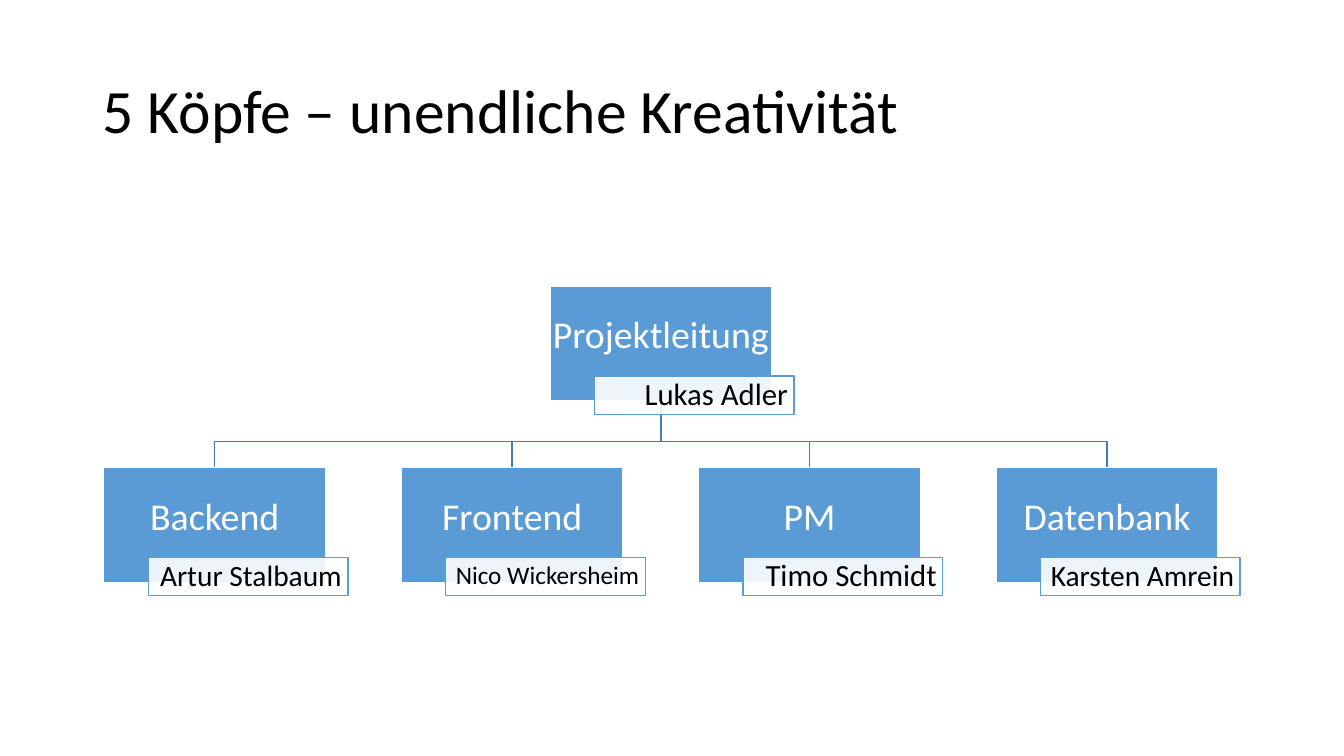
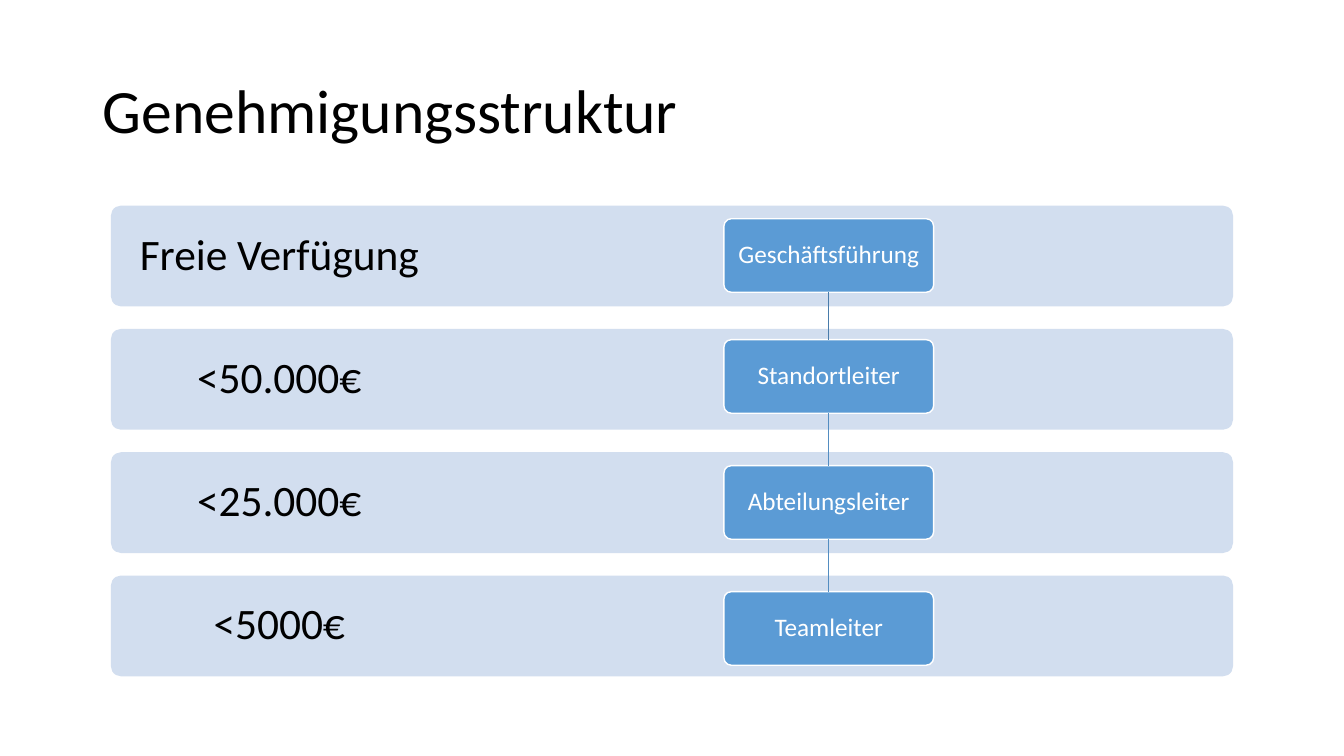
"""Build two slides: a team chart and an approval ladder."""
from dataclasses import dataclass

from lxml import etree
from pptx import Presentation
from pptx.dml.color import RGBColor
from pptx.enum.shapes import MSO_CONNECTOR, MSO_SHAPE
from pptx.enum.text import MSO_ANCHOR, MSO_AUTO_SIZE, PP_ALIGN
from pptx.oxml.ns import qn
from pptx.util import Inches, Pt

RECTANGLE = MSO_SHAPE.RECTANGLE
ROUNDED = MSO_SHAPE.ROUNDED_RECTANGLE
STRAIGHT = MSO_CONNECTOR.STRAIGHT
MIDDLE = MSO_ANCHOR.MIDDLE
NO_AUTOFIT = MSO_AUTO_SIZE.NONE
LEFT, CENTER, RIGHT = PP_ALIGN.LEFT, PP_ALIGN.CENTER, PP_ALIGN.RIGHT
TOP_SIDE, BOTTOM_SIDE = 0, 2


@dataclass(frozen=True)
class Theme:
    """Colours, font and type sizes shared by the slides."""
    font: str = "Calibri"
    text: str = "000000"
    white: str = "FFFFFF"
    blue: str = "5B9BD5"
    band: str = "D2DEEF"
    line_dark: str = "497CAB"
    line_light: str = "538DC1"
    title_size: int = 44
    band_size: int = 31
    role_size: int = 27
    level_size: int = 18
    line_width: int = 1
    line_spacing: float = 0.9
    corner: float = 0.1


THEME = Theme()

TEAM_TITLE = "5 Köpfe – unendliche Kreativität"
LEAD = ("Projektleitung", "Lukas Adler", 22)
TEAM = [
    ("Backend", "Artur Stalbaum", 21),
    ("Frontend", "Nico Wickersheim", 18),
    ("PM", "Timo Schmidt", 22),
    ("Datenbank", "Karsten Amrein", 21),
]
TEAM_LEFT, TEAM_STEP = 1.03, 2.95
LEAD_TOP, TEAM_TOP, BEND_TOP = 2.84, 4.64, 4.38
ROLE_WIDTH, ROLE_HEIGHT = 2.2, 1.14
TAG_WIDTH, TAG_HEIGHT = 1.98, 0.38
TAG_RIGHT, TAG_DOWN = 0.44, 0.89

APPROVAL_TITLE = "Genehmigungsstruktur"
LEVELS = [
    ("Freie Verfügung", "Geschäftsführung", 2.17),
    ("<50.000€", "Standortleiter", 3.37),
    ("<25.000€", "Abteilungsleiter", 4.62),
    ("<5000€", "Teamleiter", 5.87),
]
BAND_LEFT, BAND_TOP, LAST_BAND_TOP = 1.1, 2.04, 5.71
BAND_WIDTH, BAND_HEIGHT, LABEL_WIDTH, BAND_INSET = 11.13, 1, 3.34, 0.24
LEVEL_LEFT, LEVEL_WIDTH, LEVEL_HEIGHT = 7.18, 2.08, 0.73


def color(value):
    """Turn a hex value into a colour."""
    return RGBColor.from_string(value)


def write(frame, text, size, fill, align, insets=(0.1, 0.05, 0.1, 0.05)):
    """Write one formatted paragraph; insets run left, top, right, bottom."""
    left, top, right, bottom = (Inches(inset) for inset in insets)
    frame_format = {
        "word_wrap": True, "auto_size": NO_AUTOFIT, "vertical_anchor": MIDDLE,
        "margin_left": left, "margin_top": top,
        "margin_right": right, "margin_bottom": bottom,
    }
    for name, value in frame_format.items():
        setattr(frame, name, value)
    frame.text = text
    paragraph = frame.paragraphs[0]
    paragraph.alignment = align
    paragraph.line_spacing = THEME.line_spacing
    font_format = {"name": THEME.font, "size": Pt(size), "bold": False}
    for name, value in font_format.items():
        setattr(paragraph.font, name, value)
    paragraph.font.color.rgb = color(fill)


def add_titled_slide(presentation, title):
    """Add a title-only slide with the shared title style."""
    slide = presentation.slides.add_slide(presentation.slide_layouts[5])
    shape = slide.shapes.title
    place = {"left": 0.92, "top": 0.4, "width": 11.5, "height": 1.45}
    for name, value in place.items():
        setattr(shape, name, Inches(value))
    write(shape.text_frame, title, THEME.title_size, THEME.text, LEFT)
    return slide


def set_outline(shape, stroke):
    """Give a shape or connector its line colour and width."""
    shape.line.color.rgb = color(stroke)
    shape.line.width = Pt(THEME.line_width)


def add_box(slide, kind, place, fill, outline=None, opacity=None):
    """Add a filled shape, with an outline and opacity if given."""
    shape = slide.shapes.add_shape(kind, *(Inches(value) for value in place))
    shape.shadow.inherit = False
    if kind == ROUNDED:
        shape.adjustments[0] = THEME.corner
    shape.fill.solid()
    shape.fill.fore_color.rgb = color(fill)
    if opacity is not None:
        solid = shape.element.spPr.find(qn("a:solidFill"))
        etree.SubElement(solid[0], qn("a:alpha"), val=str(opacity * 1000))
    if outline:
        set_outline(shape, outline)
    else:
        shape.line.fill.background()
    return shape


def add_branch(slide, start, end):
    """Draw an open outline that bends twice between two role boxes."""
    points = [start, (start[0], BEND_TOP), (end[0], BEND_TOP), end]
    first, *rest = [(Inches(x), Inches(y)) for x, y in points]
    builder = slide.shapes.build_freeform(*first)
    builder.add_line_segments(rest, close=False)
    branch = builder.convert_to_shape()
    branch.shadow.inherit = False
    branch.fill.background()
    set_outline(branch, THEME.line_dark)


def add_link(slide, upper, lower, stroke):
    """Join two level boxes with a straight connector."""
    link = slide.shapes.add_connector(STRAIGHT, 0, 0, 0, 0)
    link.begin_connect(upper, BOTTOM_SIDE)
    link.end_connect(lower, TOP_SIDE)
    set_outline(link, stroke)
    etree.SubElement(link.element.spPr, qn("a:effectLst"))


def add_role(slide, member, left, top):
    """Add the blue box of one role and the name tag that overlaps it."""
    role, name, size = member
    place = (left, top, ROLE_WIDTH, ROLE_HEIGHT)
    box = add_box(slide, RECTANGLE, place, THEME.blue, THEME.white)
    write(box.text_frame, role, THEME.role_size, THEME.white, CENTER,
          (0.02, 0.02, 0.02, 0.16))
    place = (left + TAG_RIGHT, top + TAG_DOWN, TAG_WIDTH, TAG_HEIGHT)
    tag = add_box(slide, RECTANGLE, place, THEME.white, THEME.blue, 90)
    write(tag.text_frame, name, size, THEME.text, RIGHT,
          (0.05, 0.01, 0.06, 0.01))


def build_team(presentation):
    """Build the team chart."""
    slide = add_titled_slide(presentation, TEAM_TITLE)
    lefts = [TEAM_LEFT + TEAM_STEP * index for index in range(len(TEAM))]
    lead_left = (lefts[0] + lefts[-1]) / 2
    half = ROLE_WIDTH / 2
    for left in reversed(lefts):
        add_branch(slide, (lead_left + half, LEAD_TOP + ROLE_HEIGHT),
                   (left + half, TEAM_TOP))
    add_role(slide, LEAD, lead_left, LEAD_TOP)
    for member, left in zip(TEAM, lefts):
        add_role(slide, member, left, TEAM_TOP)


def build_approval(presentation):
    """Build the approval ladder."""
    slide = add_titled_slide(presentation, APPROVAL_TITLE)
    band_step = (LAST_BAND_TOP - BAND_TOP) / (len(LEVELS) - 1)
    label_insets = (BAND_INSET, BAND_INSET,
                    BAND_WIDTH - LABEL_WIDTH + BAND_INSET, BAND_INSET)
    for index, (limit, _, _) in enumerate(LEVELS):
        place = (BAND_LEFT, BAND_TOP + band_step * index,
                 BAND_WIDTH, BAND_HEIGHT)
        band = add_box(slide, ROUNDED, place, THEME.band)
        write(band.text_frame, limit, THEME.band_size, THEME.text, CENTER,
              label_insets)
    boxes = []
    for _, level, top in LEVELS:
        place = (LEVEL_LEFT, top, LEVEL_WIDTH, LEVEL_HEIGHT)
        box = add_box(slide, ROUNDED, place, THEME.blue, THEME.white)
        write(box.text_frame, level, THEME.level_size, THEME.white, CENTER,
              (0.09,) * 4)
        boxes.append(box)
    for index, (upper, lower) in enumerate(zip(boxes, boxes[1:])):
        stroke = THEME.line_light if index else THEME.line_dark
        add_link(slide, upper, lower, stroke)


def main():
    """Build and save the presentation."""
    presentation = Presentation()
    presentation.slide_width = Inches(13.33)
    presentation.slide_height = Inches(7.5)
    build_team(presentation)
    build_approval(presentation)
    presentation.save("out.pptx")


if __name__ == "__main__":
    main()
